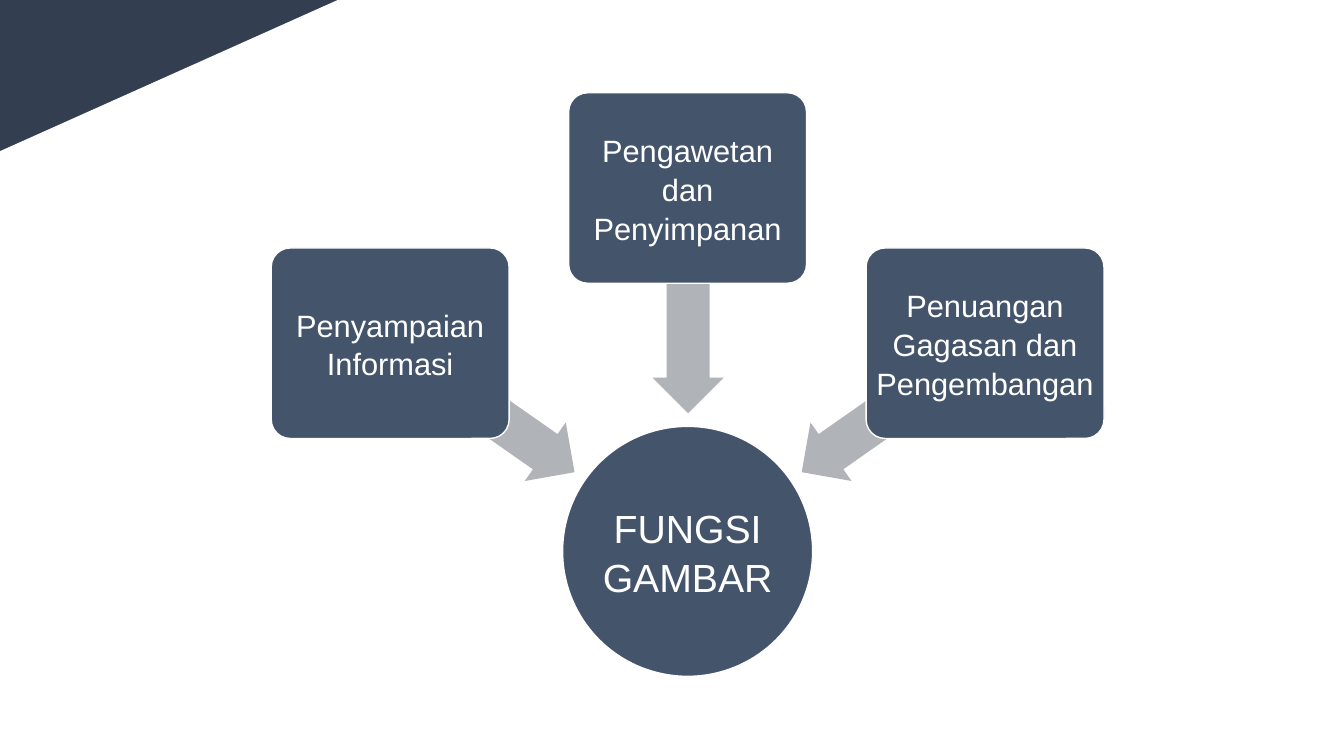
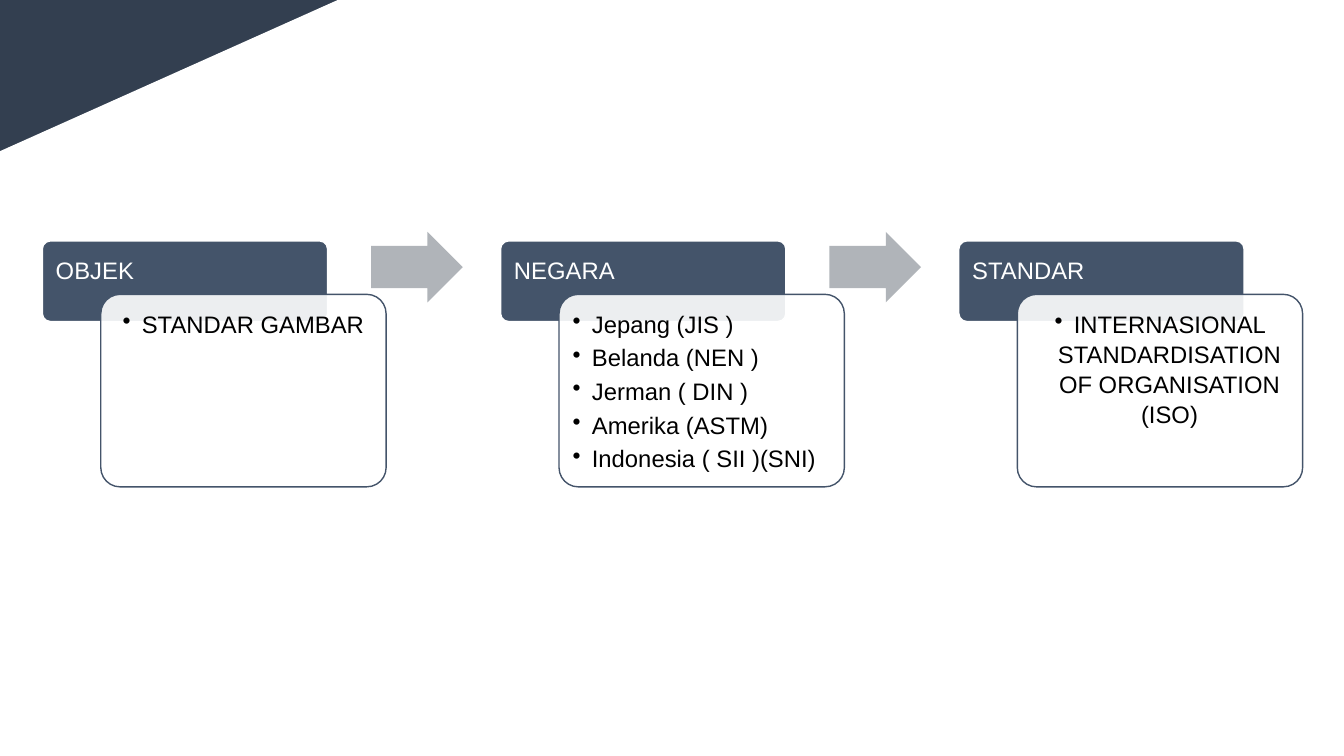
from pptx import Presentation
from pptx.dml.color import RGBColor
from pptx.enum.shapes import MSO_SHAPE as SHAPE
from pptx.enum.text import MSO_ANCHOR as ANCHOR, PP_ALIGN as ALIGN
from pptx.oxml.ns import qn
from pptx.util import Inches, Pt
from lxml import etree

NAVY, SLATE, GRAY = "333F50", "44546A", "B0B4B9"
WHITE, BLACK = "FFFFFF", "000000"
FONT = "Arial"


def add_shape(slide, kind, x, y, w, h, fill, line=None, adj=()):
    s = slide.shapes.add_shape(kind, Inches(x), Inches(y), Inches(w), Inches(h))
    s.shadow.inherit = False
    s.fill.solid()
    s.fill.fore_color.rgb = RGBColor.from_string(fill)
    if line:
        s.line.color.rgb = RGBColor.from_string(line)
        s.line.width = Pt(1)
    else:
        s.line.fill.background()
    for i, value in enumerate(adj):
        s.adjustments[i] = value
    return s


def set_text(s, text, size, color, inset, align=ALIGN.CENTER, anchor=ANCHOR.MIDDLE):
    tf = s.text_frame
    tf.word_wrap = True
    tf.vertical_anchor = anchor
    tf.margin_left = tf.margin_right = Inches(inset)
    tf.margin_top = tf.margin_bottom = Inches(inset)
    tf.text = text
    for p in tf.paragraphs:
        p.alignment = align
        p.line_spacing = 1.05
        for r in p.runs:
            r.font.name = FONT
            r.font.size = Pt(size)
            r.font.color.rgb = RGBColor.from_string(color)


prs = Presentation()
prs.slide_width, prs.slide_height = Inches(13.33), Inches(7.5)

# Shared backdrop: navy background with a white page cut at the top left
background = prs.slide_master.background.fill
background.solid()
background.fore_color.rgb = RGBColor.from_string(NAVY)
slides = [prs.slides.add_slide(prs.slide_layouts[6]) for _ in range(2)]
for slide in slides:
    add_shape(slide, SHAPE.RECTANGLE, 3.35, 0, 9.98, 7.5, WHITE)
    add_shape(slide, SHAPE.FLOWCHART_MANUAL_INPUT, 0, 0, 3.35, 7.5, WHITE)
functions_slide, standards_slide = slides

# Slide 1: three functions pointing at the central circle
circle = add_shape(functions_slide, SHAPE.OVAL, 5.58, 4.23, 2.48, 2.48, SLATE, WHITE)
set_text(circle, "FUNGSI\u0020GAMBAR", 28, WHITE, 0.02)

functions = [  # text, box left and top, arrow left and top, arrow rotation
    ("Penyampaian Informasi", 2.69, 2.46, 3.67, 3.69, 215),
    ("Pengawetan dan Penyimpanan", 5.64, 0.92, 5.71, 2.63, 270),
    ("Penuangan Gagasan dan Pengembangan", 8.59, 2.46, 7.75, 3.69, 325),
]
for text, x, y, arrow_x, arrow_y, angle in functions:
    arrow = add_shape(functions_slide, SHAPE.LEFT_ARROW, arrow_x, arrow_y, 2.23, 0.71,
                      GRAY, adj=(0.6, 0.5))
    arrow.rotation = angle
    box = add_shape(functions_slide, SHAPE.ROUNDED_RECTANGLE, x, y, 2.36, 1.89,
                    SLATE, WHITE, (0.1,))
    set_text(box, text, 22, WHITE, 0.04)

# Slide 2: three stages, each a header with a list card over it
stages = [
    ("OBJEK", ["STANDAR GAMBAR"], ALIGN.CENTER),
    ("NEGARA", ["Jepang (JIS )", "Belanda (NEN )", "Jerman ( DIN )",
                "Amerika (ASTM)", "Indonesia ( SII )(SNI)"], ALIGN.LEFT),
    ("STANDAR", ["INTERNASIONAL STANDARDISATION OF ORGANISATION (ISO)"], ALIGN.CENTER),
]
STEP = 4.545
for i, (title, items, align) in enumerate(stages):
    x = 0.42 + i * STEP
    header = add_shape(standards_slide, SHAPE.ROUNDED_RECTANGLE, x, 2.39, 2.83, 0.8,
                       SLATE, WHITE, (0.1,))
    set_text(header, title, 17, WHITE, 0.11, ALIGN.LEFT, ANCHOR.TOP)

    card = add_shape(standards_slide, SHAPE.ROUNDED_RECTANGLE, x + 0.58, 2.92, 2.83, 1.91,
                     WHITE, SLATE, (0.1,))
    set_text(card, "\n".join(items), 17, BLACK, 0.08, align, ANCHOR.TOP)

    # Card fill at 90% opacity
    color = card._element.spPr.find(qn("a:solidFill")).find(qn("a:srgbClr"))
    etree.SubElement(color, qn("a:alpha")).set("val", "90000")

    # Bullets with a hanging indent
    for p in card.text_frame.paragraphs:
        p.space_after = Pt(2.6)
        pPr = p._p.get_or_add_pPr()
        pPr.set("marL", str(Inches(0.19)))
        pPr.set("indent", str(-Inches(0.19)))
        etree.SubElement(pPr, qn("a:buChar")).set("char", "•")

    if i < len(stages) - 1:
        add_shape(standards_slide, SHAPE.RIGHT_ARROW, x + 3.26, 2.3, 0.91, 0.7,
                  GRAY, adj=(0.6, 0.5))

prs.save("out.pptx")
